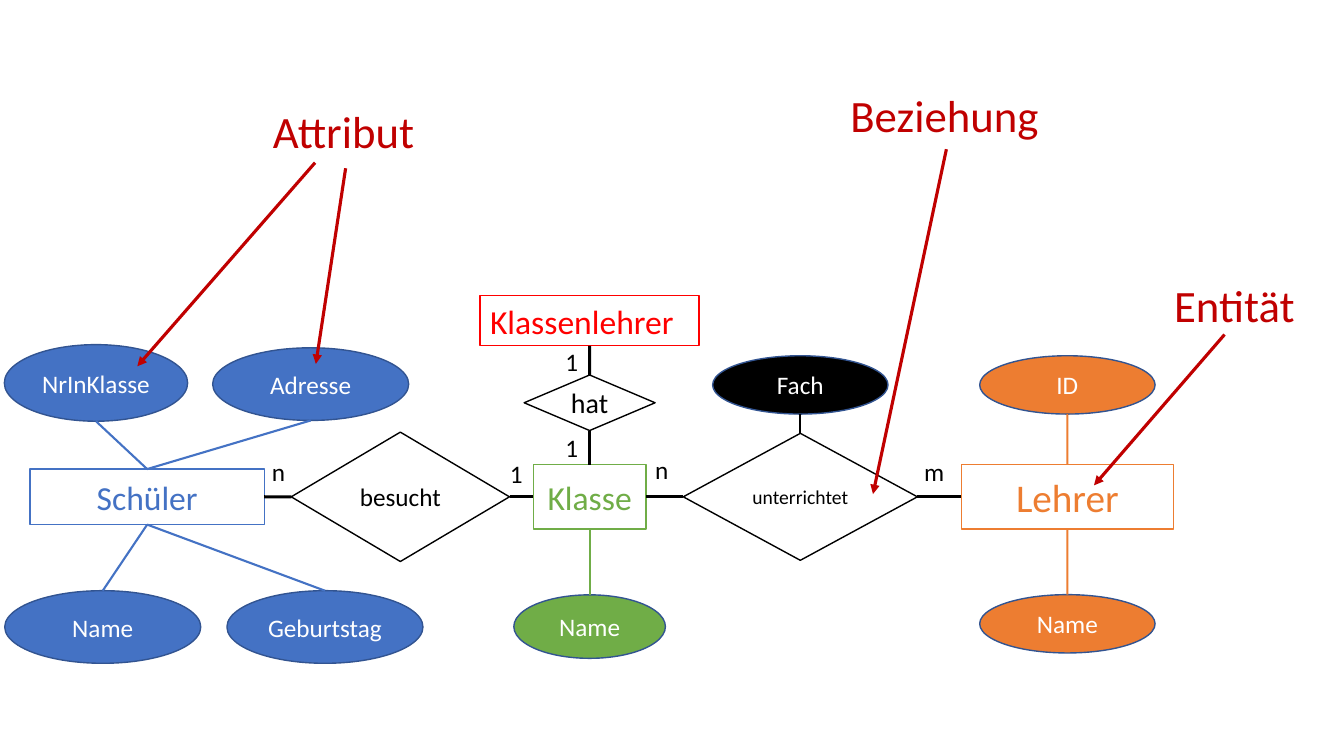
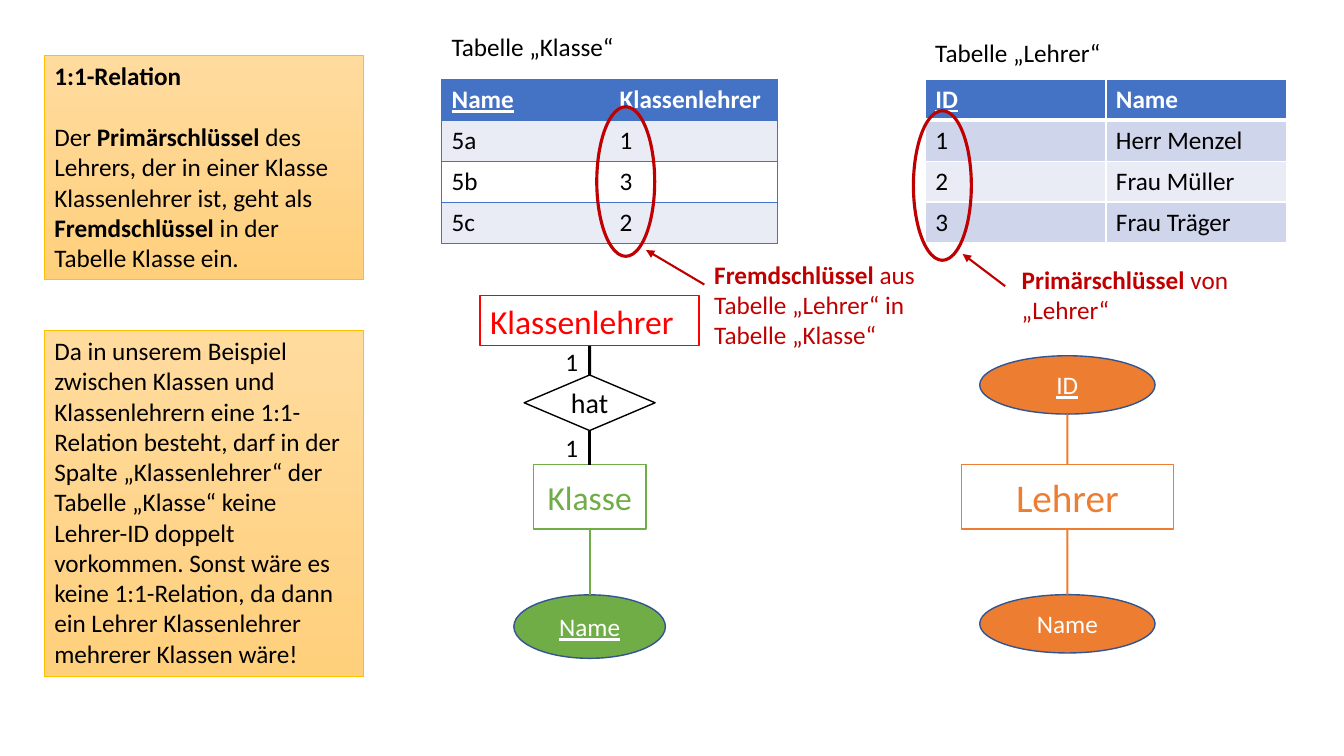
from dataclasses import dataclass

from lxml.etree import SubElement
from pptx import Presentation
from pptx.dml.color import RGBColor as Rgb
from pptx.enum.shapes import MSO_CONNECTOR as Link, MSO_SHAPE as Kind
from pptx.enum.text import MSO_ANCHOR as Anchor, PP_ALIGN as Align
from pptx.oxml import parse_xml
from pptx.oxml.ns import nsdecls, qn
from pptx.util import Cm, Pt


@dataclass(frozen=True)
class Theme:
    font: str = "Calibri"
    black: Rgb = Rgb(0, 0, 0)
    white: Rgb = Rgb(255, 255, 255)
    blue: Rgb = Rgb.from_string("4472C4")
    navy: Rgb = Rgb.from_string("325491")
    green: Rgb = Rgb.from_string("70AD47")
    orange: Rgb = Rgb.from_string("ED7D31")
    red: Rgb = Rgb.from_string("FF0000")
    accent: Rgb = Rgb.from_string("C00000")
    gold: Rgb = Rgb.from_string("FFC000")
    note_top: Rgb = Rgb.from_string("FFDB9E")
    note_bottom: Rgb = Rgb.from_string("FFD07C")
    band_dark: Rgb = Rgb.from_string("CFD5EA")
    band_light: Rgb = Rgb.from_string("E9EBF5")
    small: int = 14
    body: int = 18
    relation: int = 20
    entity: int = 24
    teacher: int = 28
    callout: int = 32
    thin: float = 1
    medium: float = 1.5
    thick: float = 2.25


THEME = Theme()
TOP, LEFT, BOTTOM, RIGHT = range(4)
AXIS = 12.52
PUPIL_X, VISIT_X, CLASS_X, TEACH_X, TEACHER_X = 3.71, 10.09, 14.86, 20.17, 26.9
UPPER_Y = 9.7


def write(frame, text, size=THEME.body, color=THEME.black, bold=False, underline=False,
          align=Align.LEFT, anchor=Anchor.TOP, wrap=True, gap=0):
    frame.word_wrap = wrap
    frame.vertical_anchor = anchor
    for index, line in enumerate(text.split("\n")):
        paragraph = frame.add_paragraph() if index else frame.paragraphs[0]
        paragraph.alignment = align
        paragraph.space_before = Pt(gap if index else 0)
        for part, piece in enumerate(line.split("**")):
            if piece:
                run = paragraph.add_run()
                run.text = piece
                run.font.name = THEME.font
                run.font.size = Pt(size)
                run.font.color.rgb = color
                run.font.bold = bold or part % 2 == 1
                run.font.underline = underline


def label(slide, text, left, top, width, height=1.02, **text_format):
    box = slide.shapes.add_textbox(Cm(left), Cm(top), Cm(width), Cm(height))
    write(box.text_frame, text, **text_format)


def outline(slide, kind, left, top, width, height, line, weight=THEME.thin):
    shape = slide.shapes.add_shape(kind, Cm(left), Cm(top), Cm(width), Cm(height))
    shape.shadow.inherit = False
    shape.fill.background()
    shape.line.color.rgb = line
    shape.line.width = Pt(weight)
    return shape


def node(slide, kind, text, x, y, width, height, line, fill=THEME.white, **text_format):
    shape = outline(slide, kind, x - width / 2, y - height / 2, width, height, line)
    shape.fill.solid()
    shape.fill.fore_color.rgb = fill
    centred = {"align": Align.CENTER, "anchor": Anchor.MIDDLE, "wrap": False}
    write(shape.text_frame, text, **{**centred, **text_format})
    return shape


def entity(slide, text, x, width, height, color, size=THEME.entity):
    return node(slide, Kind.RECTANGLE, text, x, AXIS, width, height, color,
                size=size, color=color)


def relation(slide, text, x, y, width, height, size):
    return node(slide, Kind.DIAMOND, text, x, y, width, height, THEME.black, size=size)


def attribute(slide, text, x, y, fill, width=4.42, height=1.47, underline=False):
    return node(slide, Kind.OVAL, text, x, y, width, height, THEME.navy, fill,
                color=THEME.white, underline=underline)


def note(slide, text, top, height, **text_format):
    box = outline(slide, Kind.RECTANGLE, 1.12, top, 8.05, height, THEME.gold, 0.5)
    box.fill.gradient()
    box.fill.gradient_angle = 270
    for stop, color in zip(box.fill.gradient_stops, (THEME.note_top, THEME.note_bottom)):
        stop.color.rgb = color
    write(box.text_frame, text, **text_format)


def draw_line(slide, start, end, color, weight):
    line = slide.shapes.add_connector(Link.STRAIGHT, *start, *end)
    line.line.color.rgb = color
    line.line.width = Pt(weight)
    SubElement(line.element.spPr, qn("a:effectLst"))
    return line


def arrow(slide, x1, y1, x2, y2, weight=THEME.thick):
    line = draw_line(slide, (Cm(x1), Cm(y1)), (Cm(x2), Cm(y2)), THEME.accent, weight)
    SubElement(line.element.spPr.find(qn("a:ln")), qn("a:tailEnd"), type="triangle")


def side_point(shape, side):
    middle_x = shape.left + shape.width // 2
    middle_y = shape.top + shape.height // 2
    return {
        TOP: (middle_x, shape.top),
        LEFT: (shape.left, middle_y),
        BOTTOM: (middle_x, shape.top + shape.height),
        RIGHT: (shape.left + shape.width, middle_y),
    }[side]


def join(slide, first, first_side, second, second_side,
         color=THEME.black, weight=THEME.thick):
    line = draw_line(slide, side_point(first, first_side),
                     side_point(second, second_side), color, weight)
    ends = ((line.begin_connect, first, first_side), (line.end_connect, second, second_side))
    for connect, shape, side in ends:
        if shape.auto_shape_type != Kind.OVAL or side == TOP:
            connect(shape, side)


def set_borders(cell, borders):
    properties = cell._tc.get_or_add_tcPr()
    for index, edge in enumerate("LRTB"):
        color, weight = borders[edge]
        paint = (f'<a:solidFill><a:srgbClr val="{color}"/></a:solidFill>'
                 if color else "<a:noFill/>")
        properties.insert(index, parse_xml(
            f'<a:ln{edge} {nsdecls("a")} w="{Pt(weight)}">{paint}</a:ln{edge}>'))


def class_borders(row, column):
    drawn, hidden = (THEME.blue, THEME.thin), (None, 0)
    return {"L": hidden if column else drawn, "R": drawn if column else hidden,
            "T": drawn, "B": drawn}


def teacher_borders(row, column):
    borders = dict.fromkeys("LRTB", (THEME.white, THEME.thin))
    if row < 2:
        borders["T" if row else "B"] = (THEME.white, 3)
    return borders


def data_table(slide, caption, caption_top, rows, left, top, width, bands, borders):
    label(slide, caption, left, caption_top, 6)
    height = 1.03 * len(rows)
    table = slide.shapes.add_table(len(rows), len(rows[0]), Cm(left), Cm(top),
                                   Cm(width), Cm(height)).table
    for row, values in enumerate(rows):
        for column, value in enumerate(values):
            cell = table.cell(row, column)
            header = row == 0
            cell.fill.solid()
            cell.fill.fore_color.rgb = THEME.blue if header else bands[(row - 1) % 2]
            set_borders(cell, borders(row, column))
            write(cell.text_frame, value, bold=header, underline=header and column == 0,
                  color=THEME.white if header else THEME.black)


def class_branch(slide, underline_key=False):
    school_class = entity(slide, "Klasse", CLASS_X, 2.84, 1.63, THEME.green)
    form_teacher = node(slide, Kind.RECTANGLE, "Klassenlehrer", CLASS_X, 8.08, 5.52, 1.27,
                        THEME.red, size=THEME.entity, color=THEME.red,
                        align=Align.LEFT, wrap=True)
    has = relation(slide, "hat", CLASS_X, 10.15, 3.3, 1.4, THEME.relation)
    name = attribute(slide, "Name", CLASS_X, 15.79, THEME.green, 3.82, 1.6, underline_key)
    join(slide, form_teacher, BOTTOM, has, TOP)
    join(slide, has, BOTTOM, school_class, TOP)
    join(slide, name, TOP, school_class, BOTTOM, THEME.green, THEME.medium)
    for top in (8.59, 10.78):
        label(slide, "1", 14, top, 0.84, wrap=False)
    return school_class


def teacher_branch(slide, underline_key=False):
    teacher = entity(slide, "Lehrer", TEACHER_X, 5.34, 1.63, THEME.orange, THEME.teacher)
    key = attribute(slide, "ID", TEACHER_X, UPPER_Y, THEME.orange, underline=underline_key)
    name = attribute(slide, "Name", TEACHER_X, 15.72, THEME.orange)
    join(slide, key, BOTTOM, teacher, TOP, THEME.orange, THEME.medium)
    join(slide, teacher, BOTTOM, name, TOP, THEME.orange, THEME.medium)
    return teacher


def pupil_branch(slide):
    pupil = entity(slide, "Schüler", PUPIL_X, 5.9, 1.4, THEME.blue)
    for text, x, y, width, height in (
        ("NrInKlasse", 2.42, 9.65, 4.62, 1.93),
        ("Adresse", 7.83, 9.68, 4.94, 1.83),
        ("Name", 2.59, 15.8, 4.94, 1.83),
        ("Geburtstag", 8.19, 15.8, 4.94, 1.83),
    ):
        oval = attribute(slide, text, x, y, THEME.blue, width, height)
        sides = (BOTTOM, TOP) if y < AXIS else (TOP, BOTTOM)
        join(slide, oval, sides[0], pupil, sides[1], THEME.blue, THEME.medium)
    return pupil


def diagram_slide(slide):
    pupil = pupil_branch(slide)
    school_class = class_branch(slide)
    teacher = teacher_branch(slide)
    visits = relation(slide, "besucht", VISIT_X, AXIS, 5.5, 3.26, THEME.body)
    teaches = relation(slide, "unterrichtet", TEACH_X, AXIS, 5.9, 3.2, THEME.small)
    subject = attribute(slide, "Fach", TEACH_X, UPPER_Y, THEME.black)
    join(slide, subject, BOTTOM, teaches, TOP, weight=THEME.medium)
    chain = (pupil, visits, school_class, teaches, teacher)
    for first, second in zip(chain, chain[1:]):
        join(slide, first, RIGHT, second, LEFT)
    for text, left, top in (("n", 6.6, 11.38), ("1", 12.6, 11.43),
                            ("n", 16.26, 11.33), ("m", 23.04, 11.38)):
        label(slide, text, left, top, 1.02 if text == "m" else 0.86, wrap=False)
    for text, left, top in (("Attribut", 6.63, 2.49), ("Beziehung", 21.18, 2.08),
                            ("Entität", 29.34, 6.88)):
        label(slide, text, left, top, 5.7 if text == "Beziehung" else 4.5, 1.62,
              size=THEME.callout, color=THEME.accent)
    for ends in ((7.94, 4.1, 3.46, 9.23), (8.71, 4.24, 7.96, 9.17),
                 (23.85, 3.76, 22, 12.45), (30.86, 8.43, 27.57, 12.23)):
        arrow(slide, *ends)


def keys_slide(slide):
    class_branch(slide, underline_key=True)
    teacher_branch(slide, underline_key=True)
    note(slide, "**1:1-Relation**\nDer **Primärschlüssel** des Lehrers, der in einer Klasse "
         "Klassenlehrer ist, geht als **Fremdschlüssel** in der Tabelle Klasse ein.",
         1.4, 5.64, gap=22)
    note(slide, "Da in unserem Beispiel zwischen Klassen und Klassenlehrern eine 1:1-Relation "
         "besteht, darf in der Spalte „Klassenlehrer“ der Tabelle „Klasse“ keine Lehrer-ID "
         "doppelt vorkommen. Sonst wäre es keine 1:1-Relation, da dann ein Lehrer "
         "Klassenlehrer mehrerer Klassen wäre!", 8.33, 8.72)
    data_table(slide, "Tabelle „Klasse“", 0.66,
               (("Name", "Klassenlehrer"), ("5a", "1"), ("5b", "3"), ("5c", "2")),
               11.13, 2.01, 8.46, (THEME.band_light, THEME.white), class_borders)
    data_table(slide, "Tabelle „Lehrer“", 0.81,
               (("ID", "Name"), ("1", "Herr Menzel"), ("2", "Frau Müller"),
                ("3", "Frau Träger")),
               23.32, 2, 9.1, (THEME.band_dark, THEME.band_light), teacher_borders)
    for left, top in ((15.04, 2.69), (23.02, 2.79)):
        outline(slide, Kind.OVAL, left, top, 1.46, 3.77, THEME.accent, THEME.thick)
    arrow(slide, 17.75, 7.17, 16.28, 6.3, THEME.medium)
    arrow(slide, 25.33, 7.21, 24.26, 6.4, THEME.medium)
    label(slide, "**Fremdschlüssel** aus Tabelle „Lehrer“ in Tabelle „Klasse“",
          17.75, 6.4, 5.74, 2.57, color=THEME.accent)
    label(slide, "**Primärschlüssel** von „Lehrer“", 25.5, 6.53, 5.74, 1.8,
          color=THEME.accent)


def main():
    deck = Presentation()
    deck.slide_width, deck.slide_height = Cm(33.87), Cm(19.05)
    blank = deck.slide_layouts[6]
    for build in (diagram_slide, keys_slide):
        build(deck.slides.add_slide(blank))
    deck.save("out.pptx")


if __name__ == "__main__":
    main()
